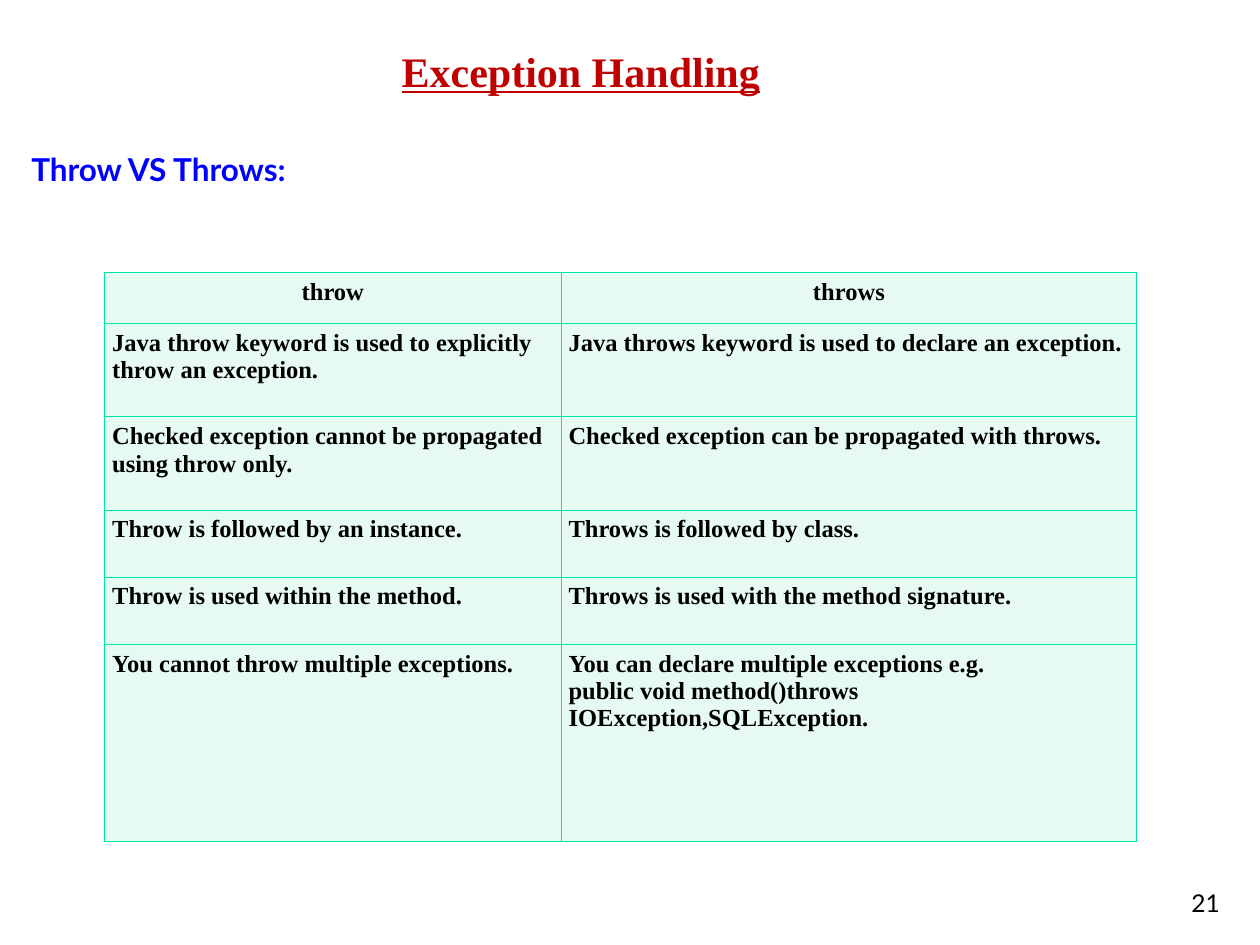
from lxml import etree
from pptx import Presentation
from pptx.dml.color import RGBColor
from pptx.enum.text import MSO_ANCHOR, PP_ALIGN
from pptx.oxml.ns import qn
from pptx.util import Pt

LEFT, CENTER, RIGHT = PP_ALIGN.LEFT, PP_ALIGN.CENTER, PP_ALIGN.RIGHT
TOP, BOTTOM = MSO_ANCHOR.TOP, MSO_ANCHOR.BOTTOM
BLACK = RGBColor(0x00, 0x00, 0x00)
RED = RGBColor(0xC0, 0x00, 0x00)
BLUE = RGBColor(0x00, 0x00, 0xFF)
MINT = RGBColor(0xE7, 0xFA, 0xF1)
GREEN = RGBColor(0x00, 0xE4, 0xA8)
SERIF, SANS = "Times New Roman", "Lato"

COLUMN_WIDTHS = (260.8, 329)
ROW_HEIGHTS = (29.5, 53.2, 53.2, 38.3, 38.3, 113)
COMPARISON = (
    ("throw", "throws"),
    ("Java throw keyword is used to explicitly throw an exception.",
     "Java throws keyword is used to declare an exception."),
    ("Checked exception cannot be propagated using throw only.",
     "Checked exception can be propagated with throws."),
    ("Throw is followed by an instance.", "Throws is followed by class."),
    ("Throw is used within the method.",
     "Throws is used with the method signature."),
    ("You cannot throw multiple exceptions.",
     "You can declare multiple exceptions e.g.\v"
     "public void method()throws IOException,SQLException."),
)


class SlideBuilder:
    """Adds text and tables in one style to the current slide."""

    def __init__(self, slide):
        self.slide = slide

    def format_text(self, text_frame, font, size, color, bold, align):
        for paragraph in text_frame.paragraphs:
            paragraph.alignment = align
            for run in paragraph.runs:
                run.font.name = font
                run.font.size = Pt(size)
                run.font.color.rgb = color
                run.font.bold = bold

    def text(self, text, box, font, size, color, bold=False, align=LEFT, anchor=TOP):
        shape = self.slide.shapes.add_textbox(*map(Pt, box))
        text_frame = shape.text_frame
        text_frame.word_wrap = True
        text_frame.vertical_anchor = anchor
        text_frame.text = text
        self.format_text(text_frame, font, size, color, bold, align)
        return text_frame.paragraphs[0]

    def border(self, cell):
        properties = cell._tc.get_or_add_tcPr()
        for side in ("lnL", "lnR", "lnT", "lnB"):
            line = etree.SubElement(properties, qn(f"a:{side}"), w=str(Pt(0.45)))
            fill = etree.SubElement(line, qn("a:solidFill"))
            etree.SubElement(fill, qn("a:srgbClr"), val=str(GREEN))

    def table(self, rows, left, top, widths, heights):
        table = self.slide.shapes.add_table(
            len(rows), len(widths), Pt(left), Pt(top),
            Pt(sum(widths)), Pt(sum(heights))).table
        for column, width in zip(table.columns, widths):
            column.width = Pt(width)
        for row_index, (row, height) in enumerate(zip(rows, heights)):
            table.rows[row_index].height = Pt(height)
            header = row_index == 0
            for column_index, text in enumerate(row):
                cell = table.cell(row_index, column_index)
                cell.text_frame.text = text
                cell.margin_left = cell.margin_right = Pt(6.5 if header else 4.3)
                cell.margin_top = cell.margin_bottom = Pt(3.6)
                self.format_text(cell.text_frame, SERIF, 14, BLACK, True,
                                 CENTER if header else LEFT)
                self.border(cell)
                cell.fill.solid()
                cell.fill.fore_color.rgb = MINT


def main():
    presentation = Presentation()
    presentation.slide_width, presentation.slide_height = Pt(720), Pt(540)
    builder = SlideBuilder(presentation.slides.add_slide(presentation.slide_layouts[6]))
    title = builder.text("Exception Handling", (25.2, 15.1, 613.4, 43.2),
                         SERIF, 24, RED, True, CENTER, BOTTOM)
    title.runs[0].font.underline = True
    builder.text("21", (554.4, 491.8, 149.8, 36), SANS, 14, BLACK,
                 align=RIGHT, anchor=BOTTOM)
    heading = builder.text("Throw VS Throws:", (10.8, 82.1, 666.7, 427.7),
                           SANS, 18, BLUE, True)
    heading.space_before = Pt(4.5)
    builder.table(COMPARISON, 59.8, 155.5, COLUMN_WIDTHS, ROW_HEIGHTS)
    presentation.save("out.pptx")


if __name__ == "__main__":
    main()
